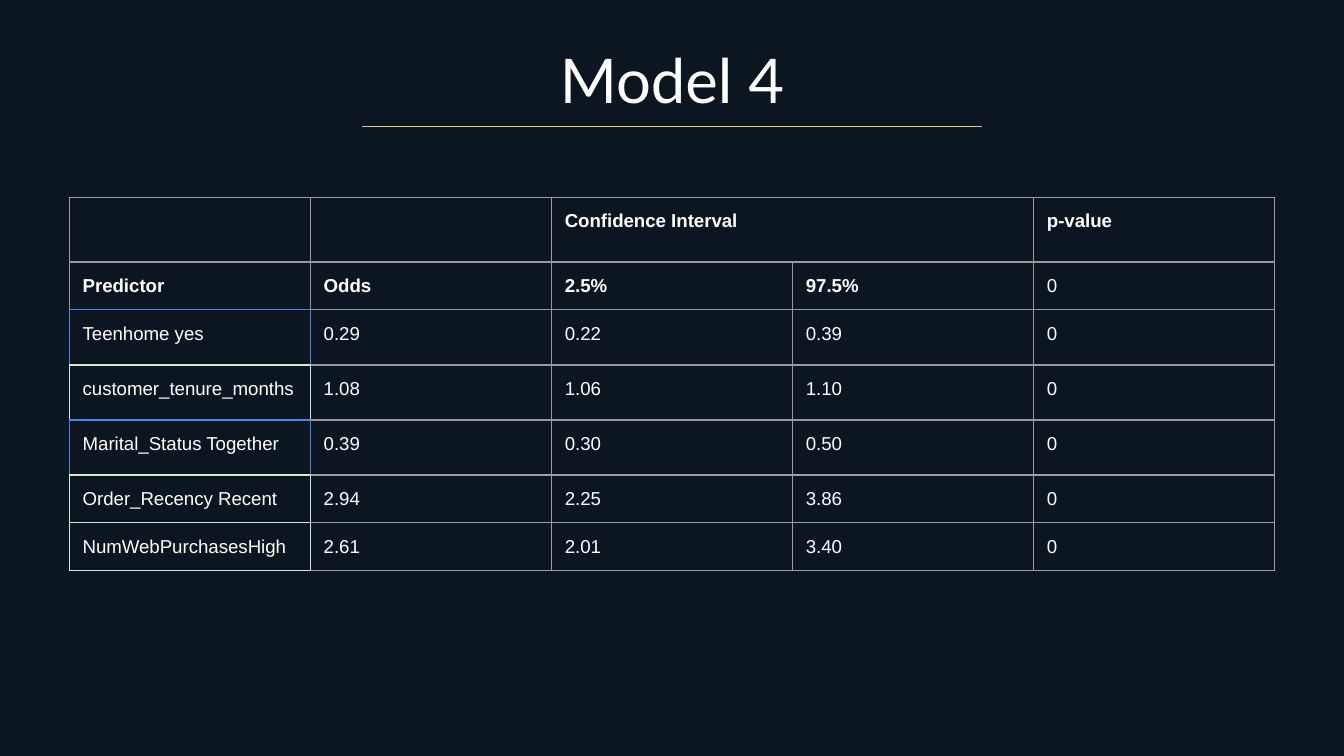
from lxml.etree import SubElement
from pptx import Presentation
from pptx.dml.color import RGBColor as RGB
from pptx.enum.shapes import MSO_CONNECTOR
from pptx.enum.text import MSO_ANCHOR, PP_ALIGN
from pptx.oxml.ns import qn
from pptx.util import Inches, Pt

COLORS = {"bg": "0C1621", "text": "FFFFFF", "rule": "EAC488", "gray": "999999",
          "light": "9E9E9E", "blue": "4A86E8", "green": "D9EAD3"}
TITLE = "Model 4"
ROWS = [
    ("", "", "Confidence Interval", "", "p-value"),
    ("Predictor", "Odds", "2.5%", "97.5%", "0"),
    ("Teenhome yes", "0.29", "0.22", "0.39", "0"),
    ("customer_tenure_months", "1.08", "1.06", "1.10", "0"),
    ("Marital_Status Together", "0.39", "0.30", "0.50", "0"),
    ("Order_Recency Recent", "2.94", "2.25", "3.86", "0"),
    ("NumWebPurchasesHigh", "2.61", "2.01", "3.40", "0"),
]
HEIGHTS = [0.48, 0.35, 0.41, 0.41, 0.41, 0.35, 0.35]
# Border colours of each row: predictor column, value columns, top of value columns
BORDERS = [("light", "light", "light"), ("gray", "gray", "gray"),
           ("blue", "gray", "gray"), ("green", "gray", "gray"),
           ("blue", "light", "gray"), ("green", "light", "light"),
           ("green", "light", "light")]
WIDTH = 10
HEIGHT = WIDTH * 9 / 16
TABLE_W, TABLE_TOP = 8.97, 1.47
TITLE_W, RULE_W, RULE_Y = 8.44, 4.62, 0.94
INSET = Inches(0.1)


def color(name):
    return RGB.from_string(COLORS[name])


def style_runs(p, font, size, bold=False):
    for r in p.runs:
        r.font.name, r.font.size, r.font.bold = font, Pt(size), bold
        r.font.color.rgb = color("text")


def set_insets(box):
    box.margin_left = box.margin_right = box.margin_top = box.margin_bottom = INSET


def set_borders(cell, row, col):
    """Left edge follows the column before, bottom edge the row below."""
    own = BORDERS[row]
    below = BORDERS[min(row + 1, len(ROWS) - 1)]
    side, edge = min(col, 1), 2 if col else 0
    sides = {"lnL": own[min(max(col - 1, 0), 1)], "lnR": own[side],
             "lnT": own[edge], "lnB": below[edge]}
    tc_pr = cell._tc.get_or_add_tcPr()
    for tag, name in sides.items():
        ln = SubElement(tc_pr, qn(f"a:{tag}"), w=str(Pt(0.75)))
        fill = SubElement(ln, qn("a:solidFill"))
        SubElement(fill, qn("a:srgbClr"), val=COLORS[name])


def add_title(s):
    title = s.shapes.title
    title.left, title.top = Inches((WIDTH - TITLE_W) / 2), Inches(0.33)
    title.width, title.height = Inches(TITLE_W), Inches(0.52)
    tf = title.text_frame
    tf.text = TITLE
    tf.vertical_anchor = MSO_ANCHOR.MIDDLE
    set_insets(tf)
    p = tf.paragraphs[0]
    p.alignment = PP_ALIGN.CENTER
    style_runs(p, "Lato", 33)


def add_rule(s):
    left = (WIDTH - RULE_W) / 2
    rule = s.shapes.add_connector(MSO_CONNECTOR.STRAIGHT, Inches(left), Inches(RULE_Y),
                                  Inches(left + RULE_W), Inches(RULE_Y))
    rule.line.color.rgb = color("rule")
    rule.line.width = Pt(0.75)
    SubElement(rule._element.spPr, qn("a:effectLst"))


def add_odds_table(s):
    n_cols = len(ROWS[0])
    table = s.shapes.add_table(
        len(ROWS), n_cols, Inches((WIDTH - TABLE_W) / 2), Inches(TABLE_TOP),
        Inches(TABLE_W), Inches(sum(HEIGHTS))).table
    table.first_row = table.horz_banding = False
    for i, (values, height) in enumerate(zip(ROWS, HEIGHTS)):
        table.rows[i].height = Inches(height)
        for j, value in enumerate(values):
            cell = table.cell(i, j)
            set_insets(cell)
            set_borders(cell, i, j)
            cell.fill.background()
            p = cell.text_frame.paragraphs[0]
            if value:
                p.text = value
                style_runs(p, "Arial", 10, bold=i < 2 and value != "0")
            else:
                SubElement(p._p, qn("a:endParaRPr"), sz="1000")
    table.cell(0, 2).merge(table.cell(0, 3))


def main():
    prs = Presentation()
    prs.slide_width, prs.slide_height = Inches(WIDTH), Inches(HEIGHT)
    s = prs.slides.add_slide(prs.slide_layouts[5])
    s.background.fill.solid()
    s.background.fill.fore_color.rgb = color("bg")
    add_rule(s)
    add_title(s)
    add_odds_table(s)
    prs.save("out.pptx")


if __name__ == "__main__":
    main()
